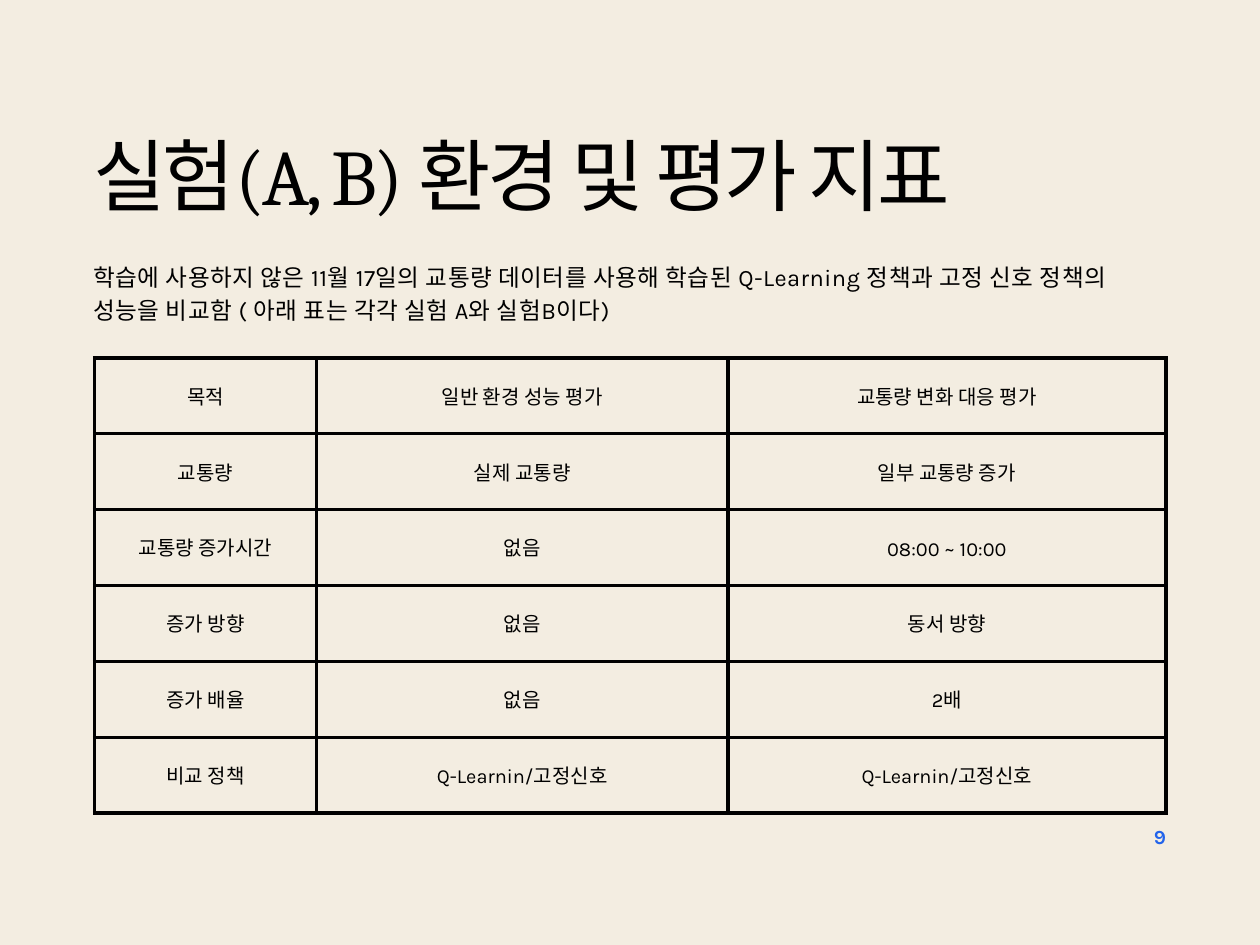
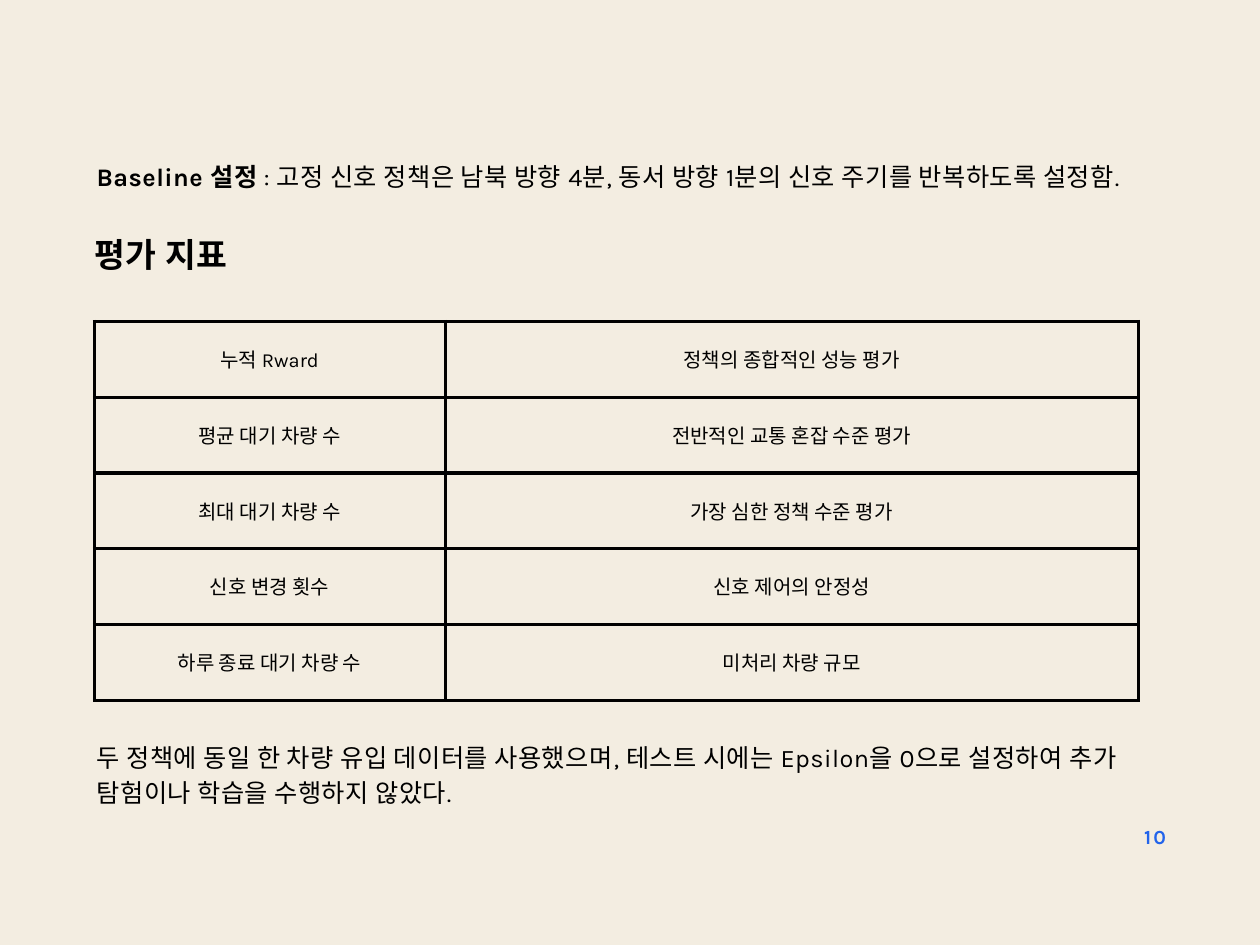
from lxml import etree
from pptx import Presentation
from pptx.dml.color import RGBColor
from pptx.enum.text import MSO_ANCHOR, MSO_AUTO_SIZE, PP_ALIGN
from pptx.oxml.ns import qn
from pptx.util import Cm, Pt

LEFT, CENTER, RIGHT = PP_ALIGN.LEFT, PP_ALIGN.CENTER, PP_ALIGN.RIGHT
TOP, MIDDLE = MSO_ANCHOR.TOP, MSO_ANCHOR.MIDDLE
GROW = MSO_AUTO_SIZE.SHAPE_TO_FIT_TEXT
TITLE_ONLY = 5

COLORS = {"paper": "F3EDE1", "ink": "000000", "number": "2264EB"}
HEAD_FONT, BODY_FONT = "Cambria", "Karla"
ROW_HEIGHT = 1.63
CELL_INSET = Cm(0.43)
BORDER = Pt(2.25)


def write(sp, box, runs, size, leading, font=BODY_FONT, color="ink",
          align=LEFT, tracking=0.3):
    """Place sp at box (cm) and fill it with (text, bold) runs; tracking is in points."""
    sp.left, sp.top, sp.width, sp.height = [Cm(v) for v in box]
    tf = sp.text_frame
    tf.margin_left = tf.margin_right = tf.margin_top = tf.margin_bottom = 0
    tf.word_wrap = True
    tf.auto_size = GROW
    tf.vertical_anchor = TOP
    p = tf.paragraphs[0]
    p.alignment = align
    p.line_spacing = Pt(leading)
    for text, bold in runs:
        r = p.add_run()
        r.text = text
        r.font.name = font
        r.font.size = Pt(size)
        r.font.bold = bold
        r.font.color.rgb = RGBColor.from_string(COLORS[color])
        r.font._element.set("spc", str(round(tracking * 100)))


def add_grid(s, top, widths, rows):
    """Add an unfilled table with black borders; top and widths are in cm."""
    frame = s.shapes.add_table(len(rows), len(widths), Cm(2.03), Cm(top),
                               Cm(sum(widths)), Cm(ROW_HEIGHT * len(rows)))
    table = frame.table
    table.first_row = table.horz_banding = False
    for column, width in zip(table.columns, widths):
        column.width = Cm(width)
    for i, row in enumerate(rows):
        table.rows[i].height = Cm(ROW_HEIGHT)
        for j, text in enumerate(row):
            cell = table.cell(i, j)
            cell.margin_left = cell.margin_right = CELL_INSET
            cell.margin_top = cell.margin_bottom = CELL_INSET
            cell.vertical_anchor = MIDDLE
            tcPr = cell._tc.get_or_add_tcPr()
            for side in ("lnL", "lnR", "lnT", "lnB"):
                ln = etree.SubElement(tcPr, qn(f"a:{side}"), w=str(BORDER))
                fill = etree.SubElement(ln, qn("a:solidFill"))
                etree.SubElement(fill, qn("a:srgbClr"), val=COLORS["ink"])
            cell.fill.background()
            p = cell.text_frame.paragraphs[0]
            p.alignment = CENTER
            p.line_spacing = Pt(17.1)
            r = p.add_run()
            r.text = text
            r.font.name = BODY_FONT
            r.font.size = Pt(12.2)
            r.font.color.rgb = RGBColor.from_string(COLORS["ink"])


prs = Presentation()
prs.slide_width, prs.slide_height = Cm(27.09), Cm(20.32)
background = prs.slide_master.background.fill
background.solid()
background.fore_color.rgb = RGBColor.from_string(COLORS["paper"])

slides = []
for number in ("9", "10"):
    s = prs.slides.add_slide(prs.slide_layouts[TITLE_ONLY])
    write(s.shapes.add_textbox(0, 0, 0, 0), (23.27, 17.81, 1.8, 0.48),
          [(number, True)], 12.2, 12.2, color="number", align=RIGHT, tracking=1.2)
    slides.append(s)
setup, metrics = slides

# Experiment setup
write(setup.shapes.title, (2.01, 3.07, 20.45, 1.8),
      [("실험(A, B) 환경 및 평가 지표", False)], 48, 48, font=HEAD_FONT, tracking=-1.9)
write(setup.shapes.add_textbox(0, 0, 0, 0), (2.01, 5.54, 22.89, 1.37),
      [("학습에 사용하지 않은 11월 17일의 교통량 데이터를 사용해 학습된 Q-Learning 정책과 "
        "고정 신호 정책의 성능을 비교함 ( 아래 표는 각각 실험 A와 실험B이다)", False)],
      14.4, 20.2)
add_grid(setup, 7.7, [4.78, 8.84, 9.42], [
    ("목적", "일반 환경 성능 평가", "교통량 변화 대응 평가"),
    ("교통량", "실제 교통량", "일부 교통량 증가"),
    ("교통량 증가시간", "없음", "08:00 ~ 10:00"),
    ("증가 방향", "없음", "동서 방향"),
    ("증가 배율", "없음", "2배"),
    ("비교 정책", "Q-Learnin/고정신호", "Q-Learnin/고정신호"),
])

# Baseline and evaluation metrics
write(metrics.shapes.add_textbox(0, 0, 0, 0), (2.08, 3.35, 22.89, 0.74),
      [("Baseline 설정", True),
       (" : 고정 신호 정책은 남북 방향 4분, 동서 방향 1분의 신호 주기를 반복하도록 설정함.", False)],
      15.4, 21.6)
write(metrics.shapes.title, (2.03, 4.88, 22.89, 0.99),
      [("평가 지표", True)], 20.4, 28.6, tracking=0.4)
add_grid(metrics, 6.91, [7.54, 14.91], [
    ("누적 Rward", "정책의 종합적인 성능 평가"),
    ("평균 대기 차량 수", "전반적인 교통 혼잡 수준 평가"),
    ("최대 대기 차량 수", "가장 심한 정책 수준 평가"),
    ("신호 변경 횟수", "신호 제어의 안정성"),
    ("하루 종료 대기 차량 수", "미처리 차량 규모"),
])
write(metrics.shapes.add_textbox(0, 0, 0, 0), (2.08, 15.85, 22.89, 1.47),
      [("두 정책에 동일 한 차량 유입 데이터를 사용했으며, 테스트 시에는 Epsilon을 0으로 "
        "설정하여 추가 탐험이나 학습을 수행하지 않았다.", False)],
      15.4, 21.6)

prs.save("out.pptx")
